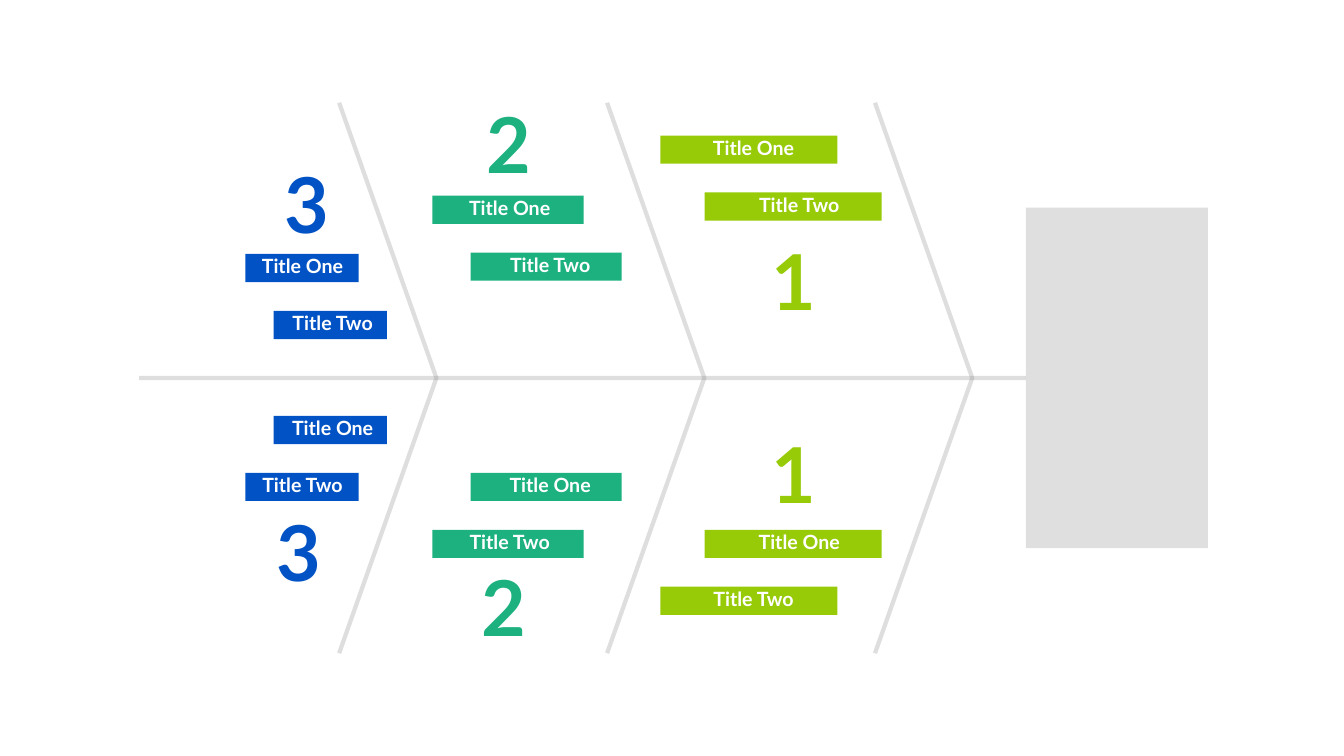
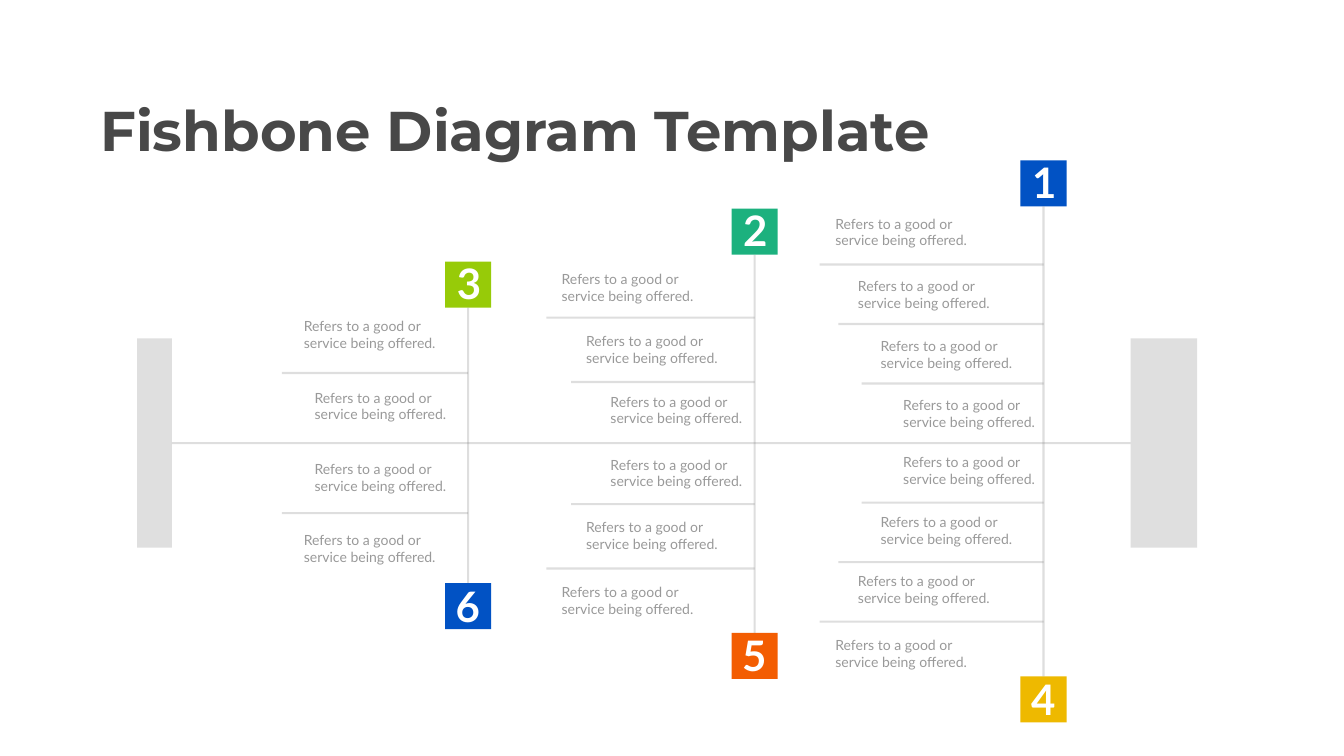
from pptx import Presentation
from pptx.util import Cm, Pt
from pptx.dml.color import RGBColor
from pptx.enum.shapes import MSO_CONNECTOR, MSO_SHAPE
from pptx.enum.text import MSO_ANCHOR, MSO_AUTO_SIZE, PP_ALIGN
from pptx.oxml.ns import qn
from lxml.etree import SubElement

COLORS = {
    "bone": "808080",
    "blue": "0152C4",
    "green": "1CB17E",
    "lime": "97CB08",
    "orange": "F35D02",
    "yellow": "EEB900",
    "white": "FFFFFF",
    "note": "999999",
    "title": "484848",
}
BODY_FONT, TITLE_FONT = "Lato", "Montserrat"
NOTE = "Refers to a good or service being offered."
LABELS = ("Title One", "Title Two")


def rgb(name):
    return RGBColor.from_string(COLORS[name])


def fade(shape):
    for clr in shape.element.iter(qn("a:srgbClr")):
        SubElement(clr, qn("a:alpha"), val="25000")


def write(tf, text, size, color, font=BODY_FONT, bold=False, align=PP_ALIGN.LEFT, wrap=True):
    tf.word_wrap = wrap
    tf.auto_size = MSO_AUTO_SIZE.NONE
    tf.vertical_anchor = MSO_ANCHOR.TOP
    p = tf.paragraphs[0]
    p.alignment = align
    r = p.add_run()
    r.text = text
    r.font.size = Pt(size)
    r.font.name = font
    r.font.bold = bold
    r.font.color.rgb = rgb(color)


def add_text(s, x, y, w, h, text, **fmt):
    box = s.shapes.add_textbox(Cm(x), Cm(y), Cm(w), Cm(h))
    write(box.text_frame, text, **fmt)


def add_rect(s, x, y, w, h, color):
    sp = s.shapes.add_shape(MSO_SHAPE.RECTANGLE, Cm(x), Cm(y), Cm(w), Cm(h))
    sp.shadow.inherit = False
    sp.fill.solid()
    sp.fill.fore_color.rgb = rgb(color)
    sp.line.fill.background()
    return sp


def add_block(s, x, y, w, h):
    sp = add_rect(s, x, y, w, h, "bone")
    fade(sp)
    return sp


def style_bone(sp, width):
    sp.line.color.rgb = rgb("bone")
    sp.line.width = Pt(width)
    fade(sp)


def add_bone(s, x1, y1, x2, y2, width):
    line = s.shapes.add_connector(MSO_CONNECTOR.STRAIGHT, Cm(x1), Cm(y1), Cm(x2), Cm(y2))
    style_bone(line, width)
    SubElement(line.element.spPr, qn("a:effectLst"))
    return line


def angled_rib(s, x, y, w, h):
    builder = s.shapes.build_freeform(Cm(x), Cm(y))
    builder.add_line_segments([(Cm(x + w), Cm(y + h / 2)), (Cm(x), Cm(y + h))], close=False)
    rib = builder.convert_to_shape()
    rib.shadow.inherit = False
    rib.fill.background()
    style_bone(rib, 6)


def angled_column(s, x, y, w, h, number, color, bar_w, outer, inner, top, bottom, spots):
    angled_rib(s, x, y, w, h)
    for start, places in ((top, (outer, inner)), (bottom, (inner, outer))):
        for i, (label, (dx, shift)) in enumerate(zip(LABELS, places)):
            left, bar_y = x + dx, y + start + i * 2.87
            add_rect(s, left, bar_y, bar_w, 1.42, color)
            add_text(s, left + bar_w / 2 + shift - 2.7, bar_y - 0.11, 5.4, 1.45, label,
                     size=28, color="white", bold=True, align=PP_ALIGN.CENTER)
    for dx, dy in spots:
        add_text(s, x + dx, y + dy, 2.65, 4.95, number,
                 size=110, color=color, bold=True, align=PP_ALIGN.CENTER)


def angled_slide(prs):
    s = prs.slides.add_slide(prs.slide_layouts[6])
    head = add_block(s, 51.69, 10.46, 9.17, 17.17)
    spine = add_bone(s, 7.01, 19.05, 51.69, 19.05, 6)
    spine.end_connect(head, 1)
    columns = [
        dict(number="3", color="blue", bar_w=5.7, outer=(-4.72, 0.02), inner=(-3.3, 0.12),
             top=7.62, bottom=15.78, spots=((-3.02, 2.59), (-3.42, 20.14))),
        dict(number="2", color="green", bar_w=7.62, outer=(-8.8, 0.08), inner=(-6.88, 0.2),
             top=4.68, bottom=18.65, spots=((-6.31, -0.46), (-6.56, 22.91))),
        dict(number="1", color="lime", bar_w=8.92, outer=(-10.82, 0.24), inner=(-8.58, 0.3),
             top=1.65, bottom=21.52, spots=((-5.46, 6.45), (-5.46, 16.21))),
    ]
    for i, column in enumerate(columns):
        angled_column(s, 17.09 + i * 13.5, 5.18, 4.9, 27.74, **column)


def add_badge(s, x, y, number, color, inset):
    badge = add_rect(s, x, y, 2.32, 2.32, color)
    add_text(s, x + inset, y - inset, 1.5, 2.82, number, size=60, color="white", bold=True)
    return badge


def straight_column(s, x, y, top, bottom, badges, branches, note_x, note_step, notes):
    upper, lower = (
        add_badge(s, x - 1.16, y + dy, *badge, inset)
        for dy, badge, inset in zip((top, bottom), badges, (0.34, 0.28))
    )
    rib = add_bone(s, x, y + top, x, y + bottom, 3)
    rib.begin_connect(upper, 2)
    rib.end_connect(lower, 0)
    for dy, length in branches:
        for side in (-1, 1):
            add_bone(s, x, y + side * dy, x - length, y + side * dy, 3)
    for i, pair in enumerate(notes):
        for dy in pair:
            add_text(s, x + note_x - i * note_step, y + dy, 7.26, 1.96, NOTE,
                     size=20, color="note")


def straight_slide(prs):
    s = prs.slides.add_slide(prs.slide_layouts[5])
    title = s.shapes.title
    title.left, title.top, title.width, title.height = Cm(4.8), Cm(4.7), Cm(42.44), Cm(3.68)
    write(title.text_frame, "Fishbone Diagram Template", size=80, color="title",
          font=TITLE_FONT, bold=True, wrap=False)
    spine_y = 22.33
    tail = add_block(s, 6.91, spine_y - 5.27, 1.75, 10.54)
    head = add_block(s, 56.97, spine_y - 5.27, 3.35, 10.54)
    spine = add_bone(s, 8.66, spine_y, 56.97, spine_y, 3)
    spine.begin_connect(tail, 3)
    spine.end_connect(head, 1)
    columns = [
        dict(x=23.59, top=-9.15, bottom=7.06, badges=(("3", "lime"), ("6", "blue")),
             branches=[(3.53, 9.39)], note_x=-7.99, note_step=0.54,
             notes=[(-2.85, 0.76), (-6.45, 4.34)]),
        dict(x=38.02, top=-11.81, bottom=9.57, badges=(("2", "green"), ("5", "orange")),
             branches=[(3.08, 9.24), (6.32, 10.49)], note_x=-7.51, note_step=1.23,
             notes=[(-2.64, 0.53), (-5.69, 3.68), (-8.82, 6.96)]),
        dict(x=52.58, top=-14.25, bottom=11.76, badges=(("1", "blue"), ("4", "yellow")),
             branches=[(3, 9.17), (6, 10.34), (9, 11.28)], note_x=-7.32, note_step=1.14,
             notes=[(-2.47, 0.4), (-5.46, 3.43), (-8.46, 6.42), (-11.61, 9.62)]),
    ]
    for column in columns:
        straight_column(s, y=spine_y, **column)


def main():
    prs = Presentation()
    prs.slide_width, prs.slide_height = Cm(67.72), Cm(38.1)
    angled_slide(prs)
    straight_slide(prs)
    prs.save("out.pptx")


if __name__ == "__main__":
    main()
